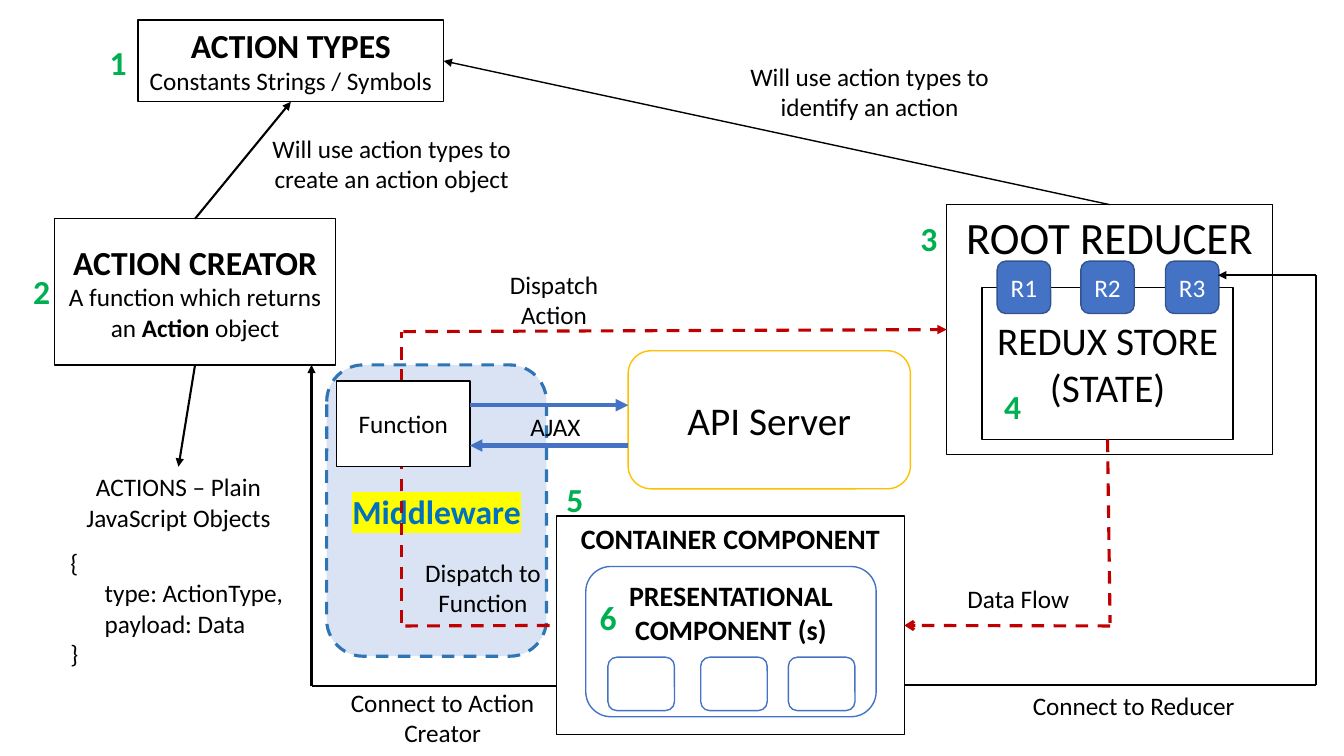
from lxml import etree
from pptx import Presentation
from pptx import util as u
from pptx.dml.color import RGBColor
from pptx.enum import dml, shapes, text
from pptx.oxml.ns import qn

COLORS = {
    "black": "000000", "white": "FFFFFF", "pale": "DAE3F3", "dash": "2E75B6",
    "title": "0070C0", "blue": "4472C4", "edge": "325491", "red": "C00000",
    "green": "00B050", "gold": "FFC000", "yellow": "FFFF00",
}
RECT = shapes.MSO_SHAPE.RECTANGLE
ROUND = shapes.MSO_SHAPE.ROUNDED_RECTANGLE
CENTER, LEFT = text.PP_ALIGN.CENTER, text.PP_ALIGN.LEFT
TOP, MIDDLE = text.MSO_ANCHOR.TOP, text.MSO_ANCHOR.MIDDLE
DASH = dml.MSO_LINE.DASH

deck = Presentation()
deck.slide_width, deck.slide_height = u.Inches(13.33), u.Inches(7.5)
page = deck.slides.add_slide(deck.slide_layouts[6])


def add_box(kind, at, paras=(), color="black", fill=None, line="black",
            width=1, anchor=MIDDLE, align=CENTER, wrap=True):
    place = [u.Inches(value) for value in at]
    if kind is None:
        box = page.shapes.add_textbox(*place)
    else:
        box = page.shapes.add_shape(kind, *place)
        box.shadow.inherit = False
        box.line.color.rgb = RGBColor.from_string(COLORS[line])
        box.line.width = u.Pt(width)
        if fill:
            box.fill.solid()
            box.fill.fore_color.rgb = RGBColor.from_string(COLORS[fill])
        else:
            box.fill.background()
    frame = box.text_frame
    frame.word_wrap = wrap
    frame.vertical_anchor = anchor
    for index, spans in enumerate(paras):
        para = frame.paragraphs[0] if index == 0 else frame.add_paragraph()
        para.alignment = align
        for words, size, bold in spans:
            span = para.add_run()
            span.text = words
            looks = {"name": "Calibri", "size": u.Pt(size), "bold": bold}
            for name, value in looks.items():
                setattr(span.font, name, value)
            span.font.color.rgb = RGBColor.from_string(COLORS[color])
    return box


def add_line(start, end, color="black", width=1.5, dash=None, head=None,
             begin_at=None, end_at=None):
    points = [u.Inches(value) for value in (*start, *end)]
    line = page.shapes.add_connector(shapes.MSO_CONNECTOR.STRAIGHT, *points)
    line.line.color.rgb = RGBColor.from_string(COLORS[color])
    line.line.width = u.Pt(width)
    if dash:
        line.line.dash_style = dash
    if head:
        etree.SubElement(line.line._get_or_add_ln(), qn("a:tailEnd"), type=head)
    etree.SubElement(line._element.spPr, qn("a:effectLst"))
    if begin_at:
        line.begin_connect(*begin_at)
    if end_at:
        line.end_connect(*end_at)


middleware = add_box(ROUND, (3.24, 3.62, 2.18, 2.89), [[("Middleware", 24, True)]],
                     color="title", fill="pale", line="dash", width=2.25)
middleware.line.dash_style = DASH
span = middleware.text_frame.paragraphs[0].runs[0]
highlight = etree.Element(qn("a:highlight"))
etree.SubElement(highlight, qn("a:srgbClr"), val=COLORS["yellow"])
span.font._element.find(qn("a:solidFill")).addnext(highlight)

root = add_box(RECT, (9.39, 2.03, 3.23, 2.48), [[("ROOT REDUCER", 32, False)]], anchor=TOP)
store = add_box(RECT, (9.74, 2.85, 2.49, 1.51),
                [[("REDUX STORE", 28, False)], [("(STATE)", 28, False)]])
for left, name in ((9.89, "R1"), (10.72, "R2"), (11.56, "R3")):
    add_box(ROUND, (left, 2.59, 0.53, 0.52), [[(name, 18, False)]],
            color="white", fill="blue", line="edge", wrap=False)

container = add_box(RECT, (5.52, 5.12, 3.45, 2.17), [[("CONTAINER COMPONENT", 20, True)]],
                    fill="white", anchor=TOP)
add_box(ROUND, (5.81, 5.62, 2.88, 1.49), [[("PRESENTATIONAL COMPONENT (s)", 20, True)]],
        fill="white", line="blue", anchor=TOP)
for left in (6.03, 6.95, 7.82):
    add_box(ROUND, (left, 6.52, 0.66, 0.53), fill="white", line="blue")

creator = add_box(RECT, (0.54, 2.17, 2.79, 1.45), [
    [("ACTION CREATOR", 24, True)],
    [("A function which returns an ", 18, False), ("Action", 18, True), (" object", 18, False)],
], fill="white")
types_box = add_box(RECT, (1.37, 0.2, 3.03, 0.81), [
    [("ACTION TYPES", 24, True)],
    [("Constants Strings / Symbols", 18, False)],
], fill="white", anchor=TOP, wrap=False)

action_lines = ("ACTIONS – Plain", "JavaScript Objects", "{",
                "type: ActionType,", "payload: Data", "}")
actions = add_box(None, (0.6, 4.63, 2.34, 2.12),
                  [[(words, 18, False)] for words in action_lines], anchor=TOP)
code = actions.text_frame.paragraphs[2:]
for para in code:
    para.alignment = LEFT
code[0].space_before = u.Pt(11)
for para in code[1:3]:
    para._p.get_or_add_pPr().set("marL", str(u.Inches(0.34)))

add_line((8.97, 6.8), (13.05, 6.8))
add_line((13.05, 6.8), (13.05, 2.73))
add_line((13.05, 2.73), (12.08, 2.73), head="triangle")
add_line((5.52, 6.81), (3.09, 6.81))
add_line((3.09, 6.81), (3.09, 3.62), head="triangle")
add_line((1.93, 3.62), (1.77, 4.63), head="triangle",
         begin_at=(creator, 2), end_at=(actions, 0))
add_line((1.93, 2.17), (2.88, 1.01), head="triangle",
         begin_at=(creator, 0), end_at=(types_box, 2))
add_line((11.01, 2.03), (4.4, 0.6), width=1, head="triangle",
         begin_at=(root, 0), end_at=(types_box, 3))

flow = {"color": "red", "width": 2.25, "dash": DASH}
add_line((10.99, 4.36), (11.01, 6.18), begin_at=(store, 2), **flow)
add_line((11.01, 6.21), (8.97, 6.21), head="arrow", end_at=(container, 3), **flow)
add_line((4.02, 6.21), (5.52, 6.21), end_at=(container, 1), **flow)
add_line((3.98, 6.18), (3.98, 3.29), **flow)
add_line((4, 3.29), (9.39, 3.27), head="triangle", end_at=(root, 1), **flow)

add_box(RECT, (3.34, 3.78, 1.32, 0.85), [[("Function", 18, False)]], fill="white")
add_box(ROUND, (6.23, 3.48, 2.8, 1.37), [[("API Server", 28, False)]],
        fill="white", line="gold")
add_line((4.66, 4.02), (6.23, 4.02), color="blue", width=3, head="triangle")
add_line((6.23, 4.42), (4.66, 4.42), color="blue", width=3, head="triangle")

labels = [
    ((10.13, 6.8, 2.23, 0.4), ["Connect to Reducer"]),
    ((9.49, 5.74, 1.22, 0.4), ["Data Flow"]),
    ((5.16, 4.03, 0.7, 0.4), ["AJAX"]),
    ((3.34, 6.77, 2.1, 0.71), ["Connect to Action", "Creator"]),
    ((4.04, 5.48, 1.5, 0.71), ["Dispatch to", "Function"]),
    ((4.93, 2.62, 1.13, 0.71), ["Dispatch", "Action"]),
    ((7.3, 0.56, 2.65, 0.71), ["Will use action types to", "identify an action"]),
    ((2.56, 1.27, 2.65, 0.71), ["Will use action types to", "create an action object"]),
]
for at, lines in labels:
    add_box(None, at, [[(words, 18, False)] for words in lines], anchor=TOP, wrap=False)

steps = [(0.99, 0.37), (0.23, 2.64), (9.03, 2.11), (9.86, 3.78), (5.52, 4.7), (5.85, 5.87)]
for number, (left, top) in enumerate(steps, 1):
    add_box(None, (left, top, 0.37, 0.5), [[(str(number), 24, True)]],
            color="green", anchor=TOP, align=LEFT, wrap=False)

deck.save("out.pptx")
